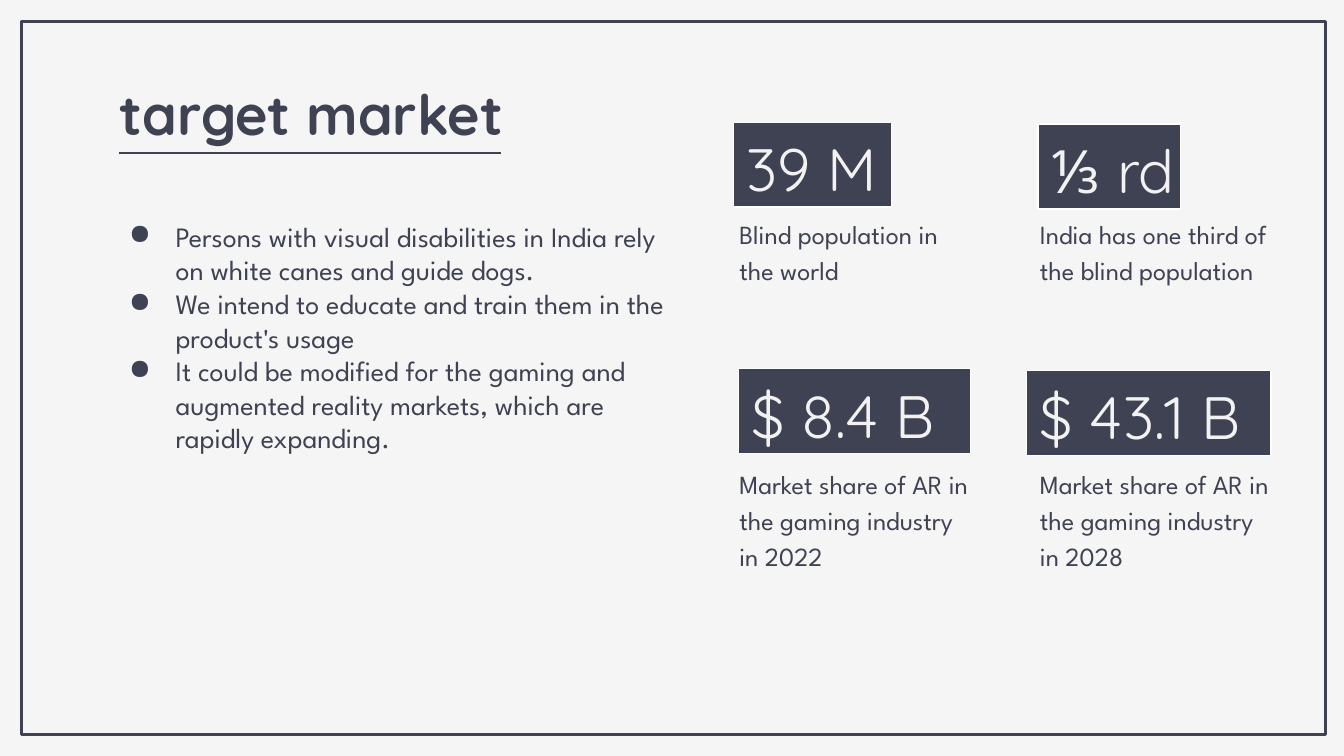
from dataclasses import dataclass

from lxml.etree import SubElement
from pptx import Presentation
from pptx.dml.color import RGBColor as RGB
from pptx.enum.shapes import MSO_CONNECTOR as CONN, MSO_SHAPE as SHAPE
from pptx.enum.text import MSO_ANCHOR as ANCHOR, PP_ALIGN as ALIGN
from pptx.oxml.ns import qn
from pptx.util import Pt


@dataclass(frozen=True)
class Theme:
    paper: RGB = RGB.from_string("F5F5F5")
    ink: RGB = RGB.from_string("3F4252")
    edge: RGB = RGB.from_string("FFFFFF")
    light: RGB = RGB.from_string("F2F2F2")
    display: str = "Quicksand"
    body: str = "League Spartan"
    title: float = 30
    value: float = 32
    bullet: float = 15
    caption: float = 14


class Deck:
    def __init__(self, prs, theme):
        self.theme = theme
        self.slide = prs.slides.add_slide(prs.slide_layouts[5])
        fill = self.slide.background.fill
        fill.solid()
        fill.fore_color.rgb = theme.paper

    def rect(self, x, y, w, h, line, weight, fill=None):
        s = self.slide.shapes.add_shape(SHAPE.RECTANGLE, Pt(x), Pt(y), Pt(w), Pt(h))
        s.shadow.inherit = False
        if fill is None:
            s.fill.background()
        else:
            s.fill.solid()
            s.fill.fore_color.rgb = fill
        s.line.color.rgb = line
        s.line.width = Pt(weight)

    def rule(self, x1, x2, y):
        s = self.slide.shapes.add_connector(CONN.STRAIGHT, Pt(x1), Pt(y), Pt(x2), Pt(y))
        s.line.color.rgb = self.theme.ink
        s.line.width = Pt(1.5)
        SubElement(s._element.spPr, qn("a:effectLst"))

    def set_text(self, s, lines, font, size, color, bold=False):
        tf = s.text_frame
        tf.word_wrap = True
        tf.vertical_anchor = ANCHOR.TOP
        tf.margin_left = tf.margin_right = tf.margin_top = tf.margin_bottom = Pt(7.2)
        tf.text = "\n".join(lines)
        for p in tf.paragraphs:
            p.alignment = ALIGN.LEFT
            p.font.name = font
            p.font.size = Pt(size)
            p.font.bold = bold
            p.font.color.rgb = color
        return tf

    def title(self, x, y, w, h, text):
        t = self.theme
        s = self.slide.shapes.title
        s.left, s.top, s.width, s.height = Pt(x), Pt(y), Pt(w), Pt(h)
        self.set_text(s, [text], t.display, t.title, t.ink, bold=True)

    def text(self, x, y, w, h, lines, font, size, color):
        s = self.slide.shapes.add_textbox(Pt(x), Pt(y), Pt(w), Pt(h))
        return self.set_text(s, lines, font, size, color)

    def bullets(self, x, y, w, h, lines):
        t = self.theme
        tf = self.text(x, y, w, h, lines, t.body, t.bullet, t.ink)
        tf.margin_top = Pt(24)
        for p in tf.paragraphs:
            pPr = p._p.get_or_add_pPr()
            pPr.set("marL", str(Pt(36)))
            pPr.set("indent", str(-Pt(25)))
            bullet = pPr.makeelement(qn("a:buChar"), {"char": "●"})
            pPr.insert_element_before(bullet, "a:tabLst", "a:defRPr", "a:extLst")

    def stat(self, x, y, w, value, value_w):
        t = self.theme
        self.rect(x, y, w, 45.5, t.edge, 0.75, t.ink)
        self.text(x, y - 2, value_w, 39, [value], t.display, t.value, t.light)

    def caption(self, x, y, h, text):
        t = self.theme
        tf = self.text(x, y, 137, h, [text], t.body, t.caption, t.ink)
        tf.paragraphs[0].line_spacing = 1.15


BULLETS = [
    "Persons with visual disabilities in India rely on white canes and guide dogs.",
    "We intend to educate and train them in the product's usage",
    "It could be modified for the gaming and augmented reality markets, which are rapidly expanding.",
]
STATS = [
    (393, 65.5, 84.5, "39 M", 84.5),
    (556, 66.5, 76.5, "⅓ rd", 124.5),
    (395.5, 197.5, 124.5, "$ 8.4 B", 114),
    (550, 198.5, 131, "$ 43.1 B", 137),
]
CAPTION_COLUMNS = (389, 550)
CAPTION_ROWS = [
    (107.5, 47.5, ("Blind population in the world", "India has one third of the blind population")),
    (241, 72, ("Market share of AR in the gaming industry in 2022",
               "Market share of AR in the gaming industry in 2028")),
]


def main():
    prs = Presentation()
    prs.slide_width, prs.slide_height = Pt(720), Pt(405)
    theme = Theme()
    deck = Deck(prs, theme)
    deck.rect(11.5, 11.5, 698.5, 382, theme.ink, 1.5)
    deck.title(57, 35.5, 235.5, 45.5, "target market")
    deck.rule(63.5, 268.5, 82)
    deck.bullets(51, 93.5, 320.5, 159, BULLETS)
    for stat in STATS:
        deck.stat(*stat)
    for y, h, captions in CAPTION_ROWS:
        for x, caption in zip(CAPTION_COLUMNS, captions):
            deck.caption(x, y, h, caption)
    prs.save("out.pptx")


if __name__ == "__main__":
    main()
